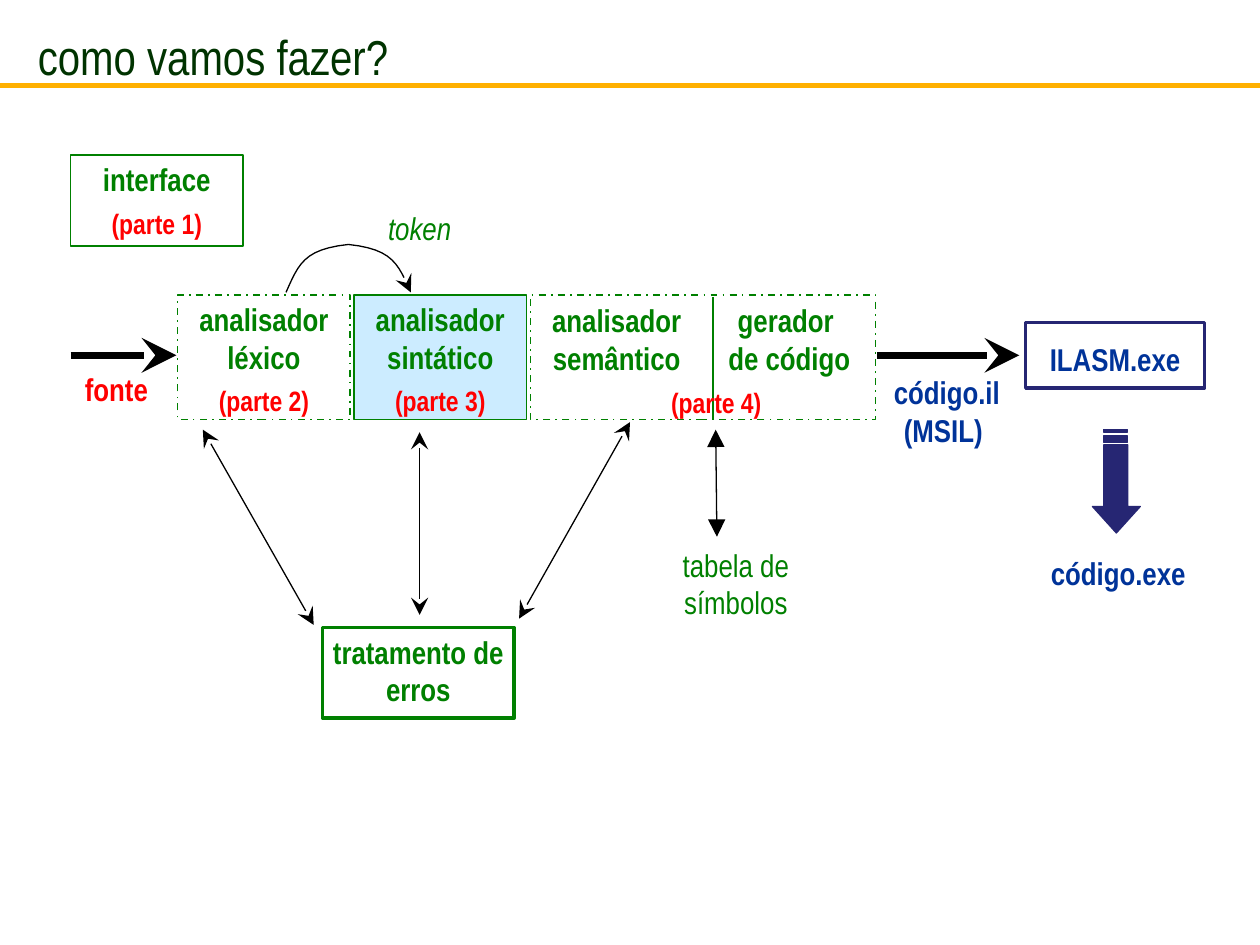
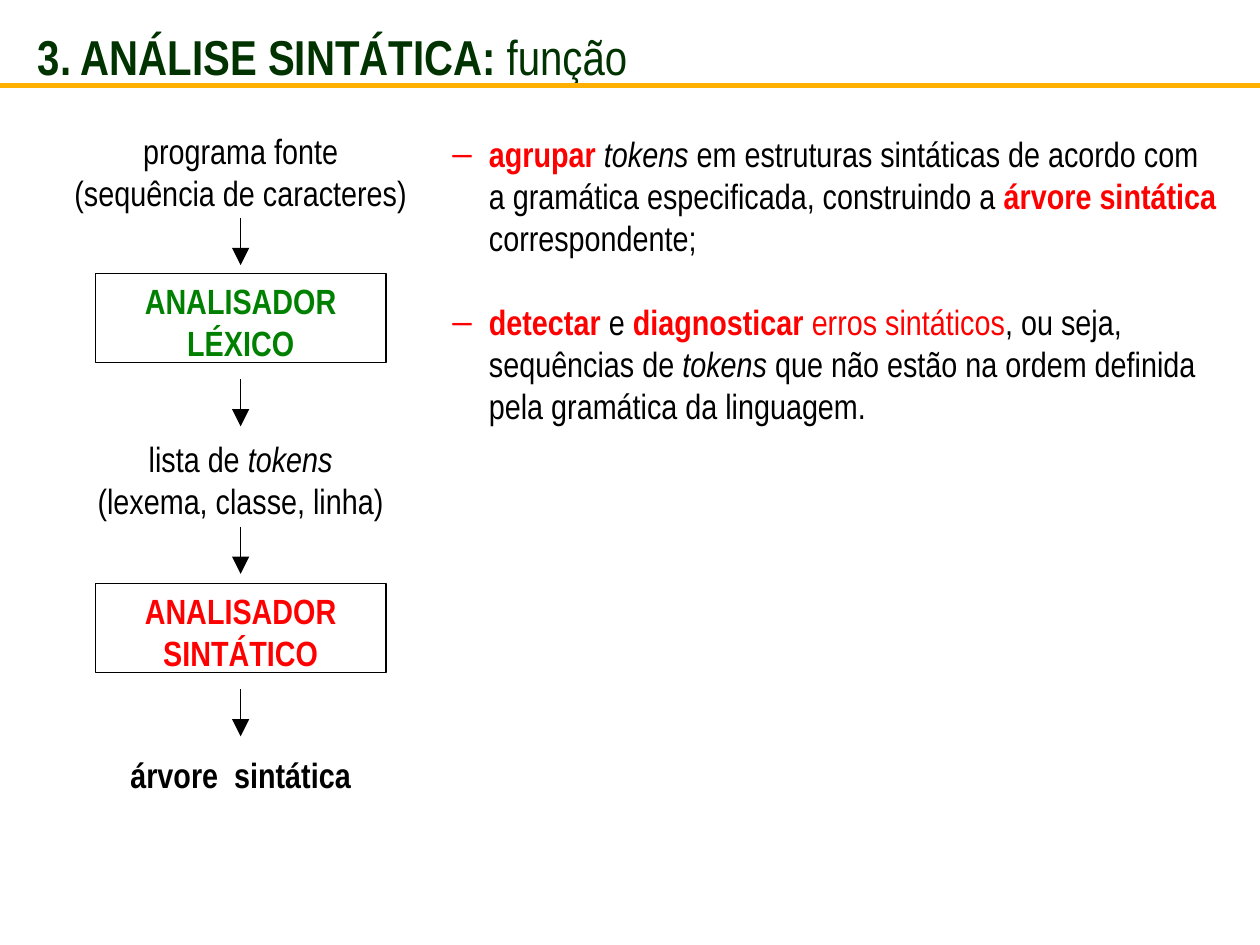
from dataclasses import dataclass, replace

from lxml import etree
from pptx import Presentation
from pptx.dml.color import RGBColor
from pptx.enum.dml import MSO_LINE
from pptx.enum.shapes import MSO_CONNECTOR, MSO_SHAPE
from pptx.enum.text import MSO_ANCHOR, MSO_AUTO_SIZE, PP_ALIGN
from pptx.oxml.ns import qn
from pptx.util import Inches, Pt

CELL = Inches(0.1)  # the slide is a grid of 100 columns by 75 rows
COLS, ROWS = 100, 75


def cells(n):
    return int(n * CELL)


# ---- theme ----
@dataclass(frozen=True)
class Style:
    size: float
    color: str
    bold: bool = False
    italic: bool = False
    before: float = 0  # space above a paragraph that starts in this style


@dataclass(frozen=True)
class Theme:
    font: str = "Arial Narrow"
    black: str = "000000"
    white: str = "FFFFFF"
    green: str = "008000"
    red: str = "FF0000"
    blue: str = "003399"
    navy: str = "262673"
    sky: str = "CCECFF"
    title: str = "003300"
    rule: str = "FFB000"
    title_size: float = 28
    text_size: float = 20
    label_size: float = 18
    note_size: float = 16
    thin: float = 0.75
    inset: float = 0.4  # cells


T = Theme()
TITLE = Style(T.title_size, T.title)
TITLE_BOLD = replace(TITLE, bold=True)
PLAIN = Style(T.label_size, T.green)
TOKEN = replace(PLAIN, italic=True)
STAGE = replace(PLAIN, bold=True)
SOURCE = replace(STAGE, color=T.red)
OUTPUT = replace(STAGE, color=T.blue)
NOTE = Style(T.note_size, T.red, bold=True, before=4.8)
TEXT = Style(T.text_size, T.black)
ITALIC = replace(TEXT, italic=True)
STRONG = replace(TEXT, bold=True)
ALERT = replace(TEXT, color=T.red)
KEY = replace(ALERT, bold=True, before=24)
LEXER = replace(STRONG, color=T.green)


@dataclass(frozen=True)
class Box:
    x: float
    y: float
    w: float
    h: float

    def sub(self, dx, dy, w, h):
        return Box(self.x + dx, self.y + dy, w, h)

    def point(self, dx, dy):
        return self.x + dx, self.y + dy

    @property
    def emu(self):
        return [cells(n) for n in (self.x, self.y, self.w, self.h)]


# ---- drawing helpers ----
def write(tf, paras, align=PP_ALIGN.CENTER, bullet=None):
    """Each paragraph is a list of (text, style) runs."""
    for i, runs in enumerate(paras):
        p = tf.paragraphs[0] if i == 0 else tf.add_paragraph()
        if bullet:
            indent = cells(2.9)
            pPr = p._p.get_or_add_pPr()
            pPr.set("marL", str(indent))
            pPr.set("indent", str(-indent))
            etree.SubElement(pPr, qn("a:buChar")).set("char", bullet)
        p.alignment = align
        p.space_before = Pt(runs[0][1].before if i else 0)
        for text, style in runs:
            r = p.add_run()
            r.text = text
            r.font.name = T.font
            r.font.size = Pt(style.size)
            r.font.bold, r.font.italic = style.bold, style.italic
            r.font.color.rgb = RGBColor.from_string(style.color)


def lines(style, *texts):
    return [[(text, style)] for text in texts]


def paint(line, color, width, dash=None):
    line.color.rgb = RGBColor.from_string(color)
    line.width = Pt(width)
    if dash:
        line.dash_style = dash


def add_heads(sp, head=None, tail=None):
    for tag, kind in (("a:headEnd", head), ("a:tailEnd", tail)):
        if kind:
            end = etree.SubElement(sp.line._get_or_add_ln(), qn(tag))
            for key, value in (("type", kind), ("w", "lg"), ("len", "lg")):
                end.set(key, value)


def add_label(s, box, paras, align=PP_ALIGN.CENTER, inset=T.inset):
    sp = s.shapes.add_textbox(*box.emu)
    fill_text(sp, paras, align, inset, inset)
    return sp


def fill_text(sp, paras, align, side, top):
    tf = sp.text_frame
    tf.word_wrap = True
    tf.vertical_anchor = MSO_ANCHOR.TOP
    tf.margin_left = tf.margin_right = cells(side)
    tf.margin_top = tf.margin_bottom = cells(top)
    write(tf, paras, align)


def add_block(s, box, paras, line, width=T.thin, fill=None, dash=None,
              side=T.inset, top=T.inset):
    sp = s.shapes.add_shape(MSO_SHAPE.RECTANGLE, *box.emu)
    sp.shadow.inherit = False
    if fill:
        sp.fill.solid()
        sp.fill.fore_color.rgb = RGBColor.from_string(fill)
    else:
        sp.fill.background()
    paint(sp.line, line, width, dash)
    if paras:
        fill_text(sp, paras, PP_ALIGN.CENTER, side, top)
    return sp


def add_line(s, start, end, color=T.black, width=T.thin, head=None, tail=None):
    ends = [cells(n) for n in (*start, *end)]
    sp = s.shapes.add_connector(MSO_CONNECTOR.STRAIGHT, *ends)
    paint(sp.line, color, width)
    add_heads(sp, head, tail)
    etree.SubElement(sp._element.spPr, qn("a:effectLst"))


def add_outline(s, contours, close):
    first, *rest = [[(cells(x), cells(y)) for x, y in c] for c in contours]
    fb = s.shapes.build_freeform(*first[0])
    fb.add_line_segments(first[1:], close=close)
    for contour in rest:
        fb.move_to(*contour[0])
        fb.add_line_segments(contour[1:], close=close)
    sp = fb.convert_to_shape()
    sp.shadow.inherit = False
    return sp


def bezier(p0, p1, p2, p3, steps=12):
    for i in range(steps + 1):
        t = i / steps
        weights = ((1 - t) ** 3, 3 * t * (1 - t) ** 2, 3 * t * t * (1 - t), t ** 3)
        yield tuple(sum(w * p[k] for w, p in zip(weights, (p0, p1, p2, p3)))
                    for k in (0, 1))


def place(ph, box):
    ph.left, ph.top, ph.width, ph.height = box.emu
    return ph.text_frame


def start_slide(prs, layout, title):
    """Title and orange rule shared by every slide."""
    s = prs.slides.add_slide(prs.slide_layouts[layout])
    tf = place(s.shapes.title, Box(2, 1.1, 95.9, 6.7))
    tf.auto_size = MSO_AUTO_SIZE.NONE
    tf.vertical_anchor = MSO_ANCHOR.MIDDLE
    write(tf, [title], PP_ALIGN.LEFT)
    add_line(s, (0, 6.8), (COLS, 6.8), T.rule, 3)
    return s


# ---- slide 1: compiler stages ----
def stage_row(s, box):
    pitch, w, h = 14, 13.7, box.h
    dashed = dict(line=T.green, width=1, dash=MSO_LINE.DASH_DOT)
    add_block(s, box.sub(0, 0, w, h), lines(STAGE, "analisador", "léxico")
              + lines(NOTE, "(parte 2)"), fill=T.white, **dashed)
    add_block(s, box.sub(pitch, 0, w, h), lines(STAGE, "analisador", "sintático")
              + lines(NOTE, "(parte 3)"), T.green, fill=T.sky)

    # Last two stages share one frame
    back = box.sub(2 * pitch, 0, 2 * w, h)
    add_block(s, back, [], **dashed)
    add_line(s, back.point(14.5, 0.2), back.point(14.5, h), T.green)
    add_label(s, back.sub(0, 0.1, w, 7.2), lines(STAGE, "analisador", "semântico"))
    add_label(s, back.sub(w, 0.1, w, 7.2), lines(STAGE, "gerador ", "de código"))
    add_label(s, back.sub(7.9, 6.8, w, 3.6), lines(NOTE, "(parte 4)"))

    # Source in, code out
    mid = 4.8
    thick = dict(width=4, tail="stealth")
    add_line(s, box.point(-8.5, mid), box.point(-0.1, mid), **thick)
    add_line(s, box.point(box.w, mid), box.point(box.w + 11.3, mid), **thick)
    add_label(s, box.sub(-13.5, 5.6, 17.3, 6.3), lines(SOURCE, "fonte"))
    add_label(s, box.sub(52.4, 5.8, 17.3, 6.3), lines(OUTPUT, "código.il", "(MSIL) "))


def token_arc(s, box):
    """Arch from the lexical to the syntactic analyser."""
    def half(side):
        return list(bezier(*[box.point(box.w * (0.5 + side * u), box.h * v)
                             for u, v in ((0.5, 1), (0.4, 0.42), (0.36, 0.1), (0, 0))]))

    sp = add_outline(s, [half(-1) + half(1)[::-1][1:]], close=False)
    sp.fill.background()
    paint(sp.line, T.black, T.thin)
    add_heads(sp, tail="stealth")
    add_label(s, box.sub(7.7, -3.2, 7.7, 3.5), lines(TOKEN, "token"), PP_ALIGN.LEFT)


def error_handling(s, box):
    add_block(s, box, lines(STAGE, "tratamento de erros"), T.green, 2)
    for start, end in (((-9.5, -15.7), (-0.7, -0.2)), ((7.7, -15.5), (7.7, -1)),
                       ((24.4, -16.3), (15.6, -0.7))):
        add_line(s, box.point(*start), box.point(*end), head="stealth", tail="stealth")


def symbol_table(s, box):
    add_label(s, box, lines(PLAIN, "tabela de", "símbolos"))
    add_line(s, box.point(4.5, -8.8), box.point(4.6, -0.3),
             head="triangle", tail="triangle")


def assembler(s, box):
    add_block(s, box.sub(0, 0, box.w, 5.2), lines(OUTPUT, "ILASM.exe"),
              T.navy, 2, top=1.4)
    add_label(s, box.sub(-0.5, 18, 15.7, 4.4), lines(OUTPUT, "código.exe"))

    # Striped down arrow: two bars, then the arrow body
    arrow = box.sub(5.3, 8.5, 3.8, 8.2)
    left, right = 0.9, 2.8
    bars = [[(left, a), (right, a), (right, b), (left, b)]
            for a, b in ((0, 0.2), (0.5, 1))]
    body = [(left, 1.2), (right, 1.2), (right, 6.1), (arrow.w, 6.1),
            (arrow.w / 2, arrow.h), (0, 6.1), (left, 6.1)]
    sp = add_outline(s, [[arrow.point(*pt) for pt in c] for c in (*bars, body)], True)
    sp.fill.solid()
    sp.fill.fore_color.rgb = RGBColor.from_string(T.navy)
    paint(sp.line, T.navy, T.thin)


def stages_slide(prs):
    s = start_slide(prs, 5, [("como vamos fazer?", TITLE)])
    add_block(s, Box(5.6, 12.3, 13.7, 7.2), lines(STAGE, "interface")
              + lines(NOTE, "(parte 1)"), T.green, 1)
    stage_row(s, Box(14.1, 23.4, 55.5, 9.9))
    token_arc(s, Box(22.7, 19.4, 9.9, 3.8))
    error_handling(s, Box(25.6, 49.8, 15.2, 7.2))
    symbol_table(s, Box(52.3, 42.9, 12.2, 6.9))
    assembler(s, Box(81.4, 25.6, 14.2, 22.4))


# ---- slide 2: role of syntactic analysis ----
def analysis_flow(s, box):
    for y, paras in ((0, lines(TEXT, "programa fonte", "(sequência de caracteres)")),
                     (24.4, [[("lista de ", TEXT), ("tokens", ITALIC)],
                             *lines(TEXT, "(lexema, classe, linha)")]),
                     (49.5, lines(STRONG, "árvore  sintática"))):
        add_label(s, box.sub(0, y, box.w, 7.8), paras)
    w = 23.1
    for y, name, style in ((11.8, "ANALISADOR LÉXICO", LEXER),
                           (36.4, "ANALISADOR SINTÁTICO", KEY)):
        add_block(s, box.sub((box.w - w) / 2, y, w, 7.1), lines(style, name),
                  T.black, side=1, top=0.5)
    for y in (7.4, 20.2, 31.9, 44.8):
        add_line(s, box.point(box.w / 2, y), box.point(box.w / 2, y + 3.75),
                 tail="triangle")


def role_list(s, box):
    tf = place(s.placeholders[1], box)
    tf.auto_size = MSO_AUTO_SIZE.NONE
    write(tf, [
        [("agrupar ", KEY), ("tokens ", ITALIC),
         ("em estruturas sintáticas de acordo com a gramática especificada, "
          "construindo a ", TEXT),
         ("árvore sintática", KEY), (" correspondente;", TEXT)],
        [("detectar ", KEY), ("e ", TEXT), ("diagnosticar ", KEY),
         ("erros sintáticos", ALERT), (", ou seja, sequências de ", TEXT),
         ("tokens ", ITALIC),
         ("que não estão na ordem definida pela gramática da linguagem.", TEXT)],
    ], PP_ALIGN.LEFT, bullet="–")


def role_slide(prs):
    s = start_slide(prs, 1, [("3. ANÁLISE SINTÁTICA: ", TITLE_BOLD), ("função", TITLE)])
    analysis_flow(s, Box(3.4, 9.9, 31.4, 53.4))
    role_list(s, Box(34.9, 10, 62.9, 24.6))


def main():
    prs = Presentation()
    prs.slide_width, prs.slide_height = cells(COLS), cells(ROWS)
    stages_slide(prs)
    role_slide(prs)
    prs.save("out.pptx")


if __name__ == "__main__":
    main()
